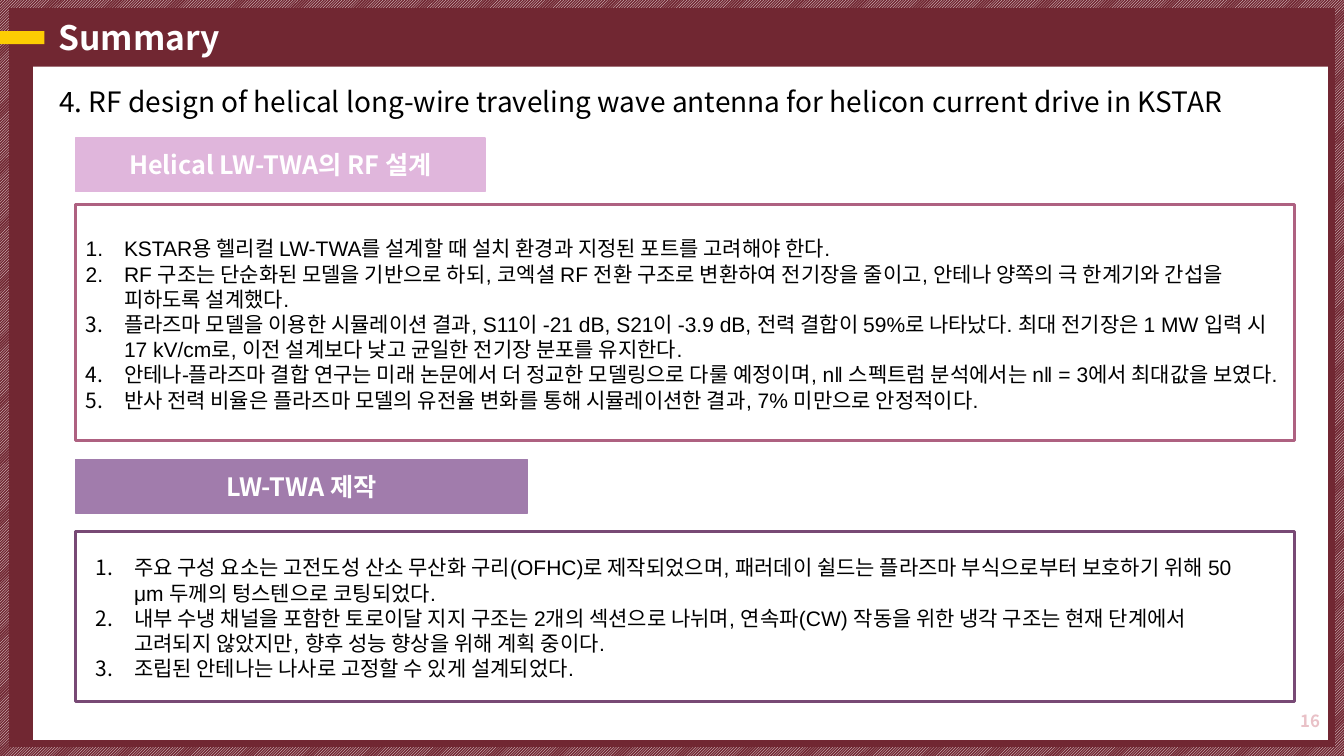
import pptx
import pptx.dml.color
import pptx.enum.dml
import pptx.enum.shapes
import pptx.enum.text
import pptx.oxml
import pptx.oxml.ns
import pptx.util
from pptx.util import Inches

RGBColor = pptx.dml.color.RGBColor
ALIGN = pptx.enum.text.PP_ALIGN
ANCHOR = pptx.enum.text.MSO_ANCHOR

WHITE = RGBColor(0xFF, 0xFF, 0xFF)
BLACK = RGBColor(0x00, 0x00, 0x00)
MAROON = RGBColor(0x71, 0x27, 0x32)
YELLOW = RGBColor(0xFD, 0xCD, 0x03)
PALE_ROSE = RGBColor(0xE9, 0xC1, 0xC7)
PINK = RGBColor(0xE0, 0xB6, 0xDC)
ROSE = RGBColor(0xAE, 0x61, 0x81)
LILAC = RGBColor(0xA1, 0x7C, 0xAC)
PURPLE = RGBColor(0x78, 0x49, 0x75)

HEADING_FONT = "Noto Sans CJK KR"
BODY_FONT = "Arial"
SLIDE_BOX = (0, 0, 13.33, 7.5)

DESIGN_POINTS = [
    "KSTAR용 헬리컬 LW-TWA를 설계할 때 설치 환경과 지정된 포트를 고려해야 한다.",
    "RF 구조는 단순화된 모델을 기반으로 하되, 코엑셜 RF 전환 구조로 변환하여 전기장을 줄이고, "
    "안테나 양쪽의 극 한계기와 간섭을 피하도록 설계했다.",
    "플라즈마 모델을 이용한 시뮬레이션 결과, S11이 -21 dB, S21이 -3.9 dB, 전력 결합이 59%로 나타났다. "
    "최대 전기장은 1 MW 입력 시 17 kV/cm로, 이전 설계보다 낮고 균일한 전기장 분포를 유지한다.",
    "안테나-플라즈마 결합 연구는 미래 논문에서 더 정교한 모델링으로 다룰 예정이며, "
    "n‖ 스펙트럼 분석에서는 n‖ = 3에서 최대값을 보였다.",
    "반사 전력 비율은 플라즈마 모델의 유전율 변화를 통해 시뮬레이션한 결과, 7% 미만으로 안정적이다.",
]
FABRICATION_POINTS = [
    "주요 구성 요소는 고전도성 산소 무산화 구리(OFHC)로 제작되었으며, "
    "패러데이 쉴드는 플라즈마 부식으로부터 보호하기 위해 50 μm 두께의 텅스텐으로 코팅되었다.",
    "내부 수냉 채널을 포함한 토로이달 지지 구조는 2개의 섹션으로 나뉘며, "
    "연속파(CW) 작동을 위한 냉각 구조는 현재 단계에서 고려되지 않았지만, 향후 성능 향상을 위해 계획 중이다.",
    "조립된 안테나는 나사로 고정할 수 있게 설계되었다.",
]


def place(part, box):
    """Move a part to a box given in inches."""
    part.left, part.top, part.width, part.height = map(Inches, box)


def add_text(paragraph, text, size, color, font=HEADING_FONT, bold=False):
    """Add one formatted run, with the Korean font set as well."""
    run = paragraph.add_run()
    run.text = text
    run.font.size = pptx.util.Pt(size)
    run.font.name = font
    run.font.bold = bold
    run.font.color.rgb = color
    korean = pptx.oxml.parse_xml(
        f'<a:ea {pptx.oxml.ns.nsdecls("a")} typeface="{HEADING_FONT}"/>')
    run.font.color.rgb = color
    run.font._element.append(korean)


def add_panel(slide, box, fill=None, line=None, line_width=1):
    """Add a flat rectangle with an optional fill and outline."""
    panel = slide.shapes.add_shape(
        pptx.enum.shapes.MSO_SHAPE.RECTANGLE, *map(Inches, box))
    panel.shadow.inherit = False
    if fill is None:
        panel.fill.background()
    else:
        panel.fill.solid()
        panel.fill.fore_color.rgb = fill
    if line is None:
        panel.line.fill.background()
    else:
        panel.line.color.rgb = line
        panel.line.width = pptx.util.Pt(line_width)
    return panel


def add_backdrop(slide, box):
    """Draw the striped border, maroon frame, white page and yellow tab."""
    left, top, width, height = box
    stripes = add_panel(slide, box)
    stripes.fill.patterned()
    stripes.fill.pattern = pptx.enum.dml.MSO_PATTERN.DARK_UPWARD_DIAGONAL
    stripes.fill.fore_color.rgb = WHITE
    stripes.fill.back_color.rgb = MAROON
    add_panel(slide, (left + 0.09, top + 0.08, width - 0.18, height - 0.17), MAROON)
    add_panel(slide, (left + 0.33, top + 0.66, width - 0.49, height - 0.82), WHITE)
    add_panel(slide, (left - 0.04, top + 0.31, 0.48, 0.13), YELLOW)


def bring_forward(placeholder):
    """Lift a placeholder above the parts drawn so far."""
    placeholder.element.getparent().append(placeholder.element)


def fill_title(title, box, text):
    """Place and format the slide title."""
    bring_forward(title)
    place(title, box)
    frame = title.text_frame
    frame.auto_size = pptx.enum.text.MSO_AUTO_SIZE.NONE
    frame.vertical_anchor = ANCHOR.MIDDLE
    paragraph = frame.paragraphs[0]
    paragraph.alignment = ALIGN.LEFT
    paragraph.line_spacing = 0.9
    add_text(paragraph, text, 24, WHITE, bold=True)


def add_label(slide, box, text, size, color, bold=False, align=ALIGN.LEFT,
              anchor=ANCHOR.TOP, wrap=True):
    """Add a one-line text box."""
    label = slide.shapes.add_textbox(*map(Inches, box))
    label.text_frame.word_wrap = wrap
    label.text_frame.vertical_anchor = anchor
    paragraph = label.text_frame.paragraphs[0]
    paragraph.alignment = align
    add_text(paragraph, text, size, color, bold=bold)


def fill_list(body, box, points):
    """Place a body placeholder and fill it with a numbered list."""
    bring_forward(body)
    place(body, box)
    frame = body.text_frame
    frame.auto_size = pptx.enum.text.MSO_AUTO_SIZE.NONE
    frame.word_wrap = True
    frame.vertical_anchor = ANCHOR.MIDDLE
    for index, point in enumerate(points):
        paragraph = frame.add_paragraph() if index else frame.paragraphs[0]
        paragraph.space_before = pptx.util.Pt(0)
        properties = paragraph._p.get_or_add_pPr()
        properties.set("marL", str(Inches(0.38)))
        properties.set("indent", str(-Inches(0.38)))
        for bullet in ('buFont typeface="+mj-lt"', 'buAutoNum type="arabicPeriod"'):
            properties.append(pptx.oxml.parse_xml(
                f'<a:{bullet} {pptx.oxml.ns.nsdecls("a")}/>'))
        add_text(paragraph, point, 15, BLACK, BODY_FONT)


def add_section(slide, box, heading, heading_width, heading_fill, outline,
                frame_offset, body, list_inset, points):
    """Draw a heading bar, an outlined frame and its numbered list."""
    left, top, width, height = box
    bar = add_panel(slide, (left, top, heading_width, 0.53), heading_fill, heading_fill)
    bar.text_frame.vertical_anchor = ANCHOR.MIDDLE
    paragraph = bar.text_frame.paragraphs[0]
    paragraph.alignment = ALIGN.CENTER
    add_text(paragraph, heading, 18, WHITE, bold=True)
    frame_top = top + frame_offset
    frame_height = height - frame_offset
    add_panel(slide, (left, frame_top, width, frame_height), line=outline, line_width=2.25)
    inset_left, inset_top, inset_right, inset_bottom = list_inset
    fill_list(body, (left + inset_left, frame_top + inset_top,
                     width - inset_left - inset_right,
                     frame_height - inset_top - inset_bottom), points)


def build_summary(slide, box):
    """Build the summary slide with its two sections."""
    left, top, width, height = box
    design_body, fabrication_body = list(slide.placeholders)[1:3]
    add_backdrop(slide, box)
    fill_title(slide.shapes.title, (left + 0.48, top + 0.16, 11.38, 0.46), "Summary")
    add_label(slide, (width - 3.91, height - 0.55, 3.77, 0.4), "16", 12, PALE_ROSE,
              bold=True, align=ALIGN.RIGHT, anchor=ANCHOR.MIDDLE)
    add_label(slide, (left + 0.49, top + 0.79, 11.79, 0.44),
              "4. RF design of helical long-wire traveling wave antenna "
              "for helicon current drive in KSTAR", 20, BLACK, wrap=False)
    add_section(slide, (left + 0.75, top + 1.37, 12.09, 3.0), "Helical LW-TWA의 RF 설계",
                4.06, PINK, ROSE, 0.66, design_body, (0, 0.13, 0, 0.1), DESIGN_POINTS)
    add_section(slide, (left + 0.75, top + 4.56, 12.09, 2.4), "LW-TWA 제작",
                4.48, LILAC, PURPLE, 0.71, fabrication_body, (0.1, 0.18, 0.25, 0.15),
                FABRICATION_POINTS)


def main():
    """Create and save the presentation."""
    presentation = pptx.Presentation()
    presentation.slide_width = Inches(SLIDE_BOX[2])
    presentation.slide_height = Inches(SLIDE_BOX[3])
    slide = presentation.slides.add_slide(presentation.slide_layouts[3])
    build_summary(slide, SLIDE_BOX)
    presentation.save("out.pptx")


if __name__ == "__main__":
    main()
